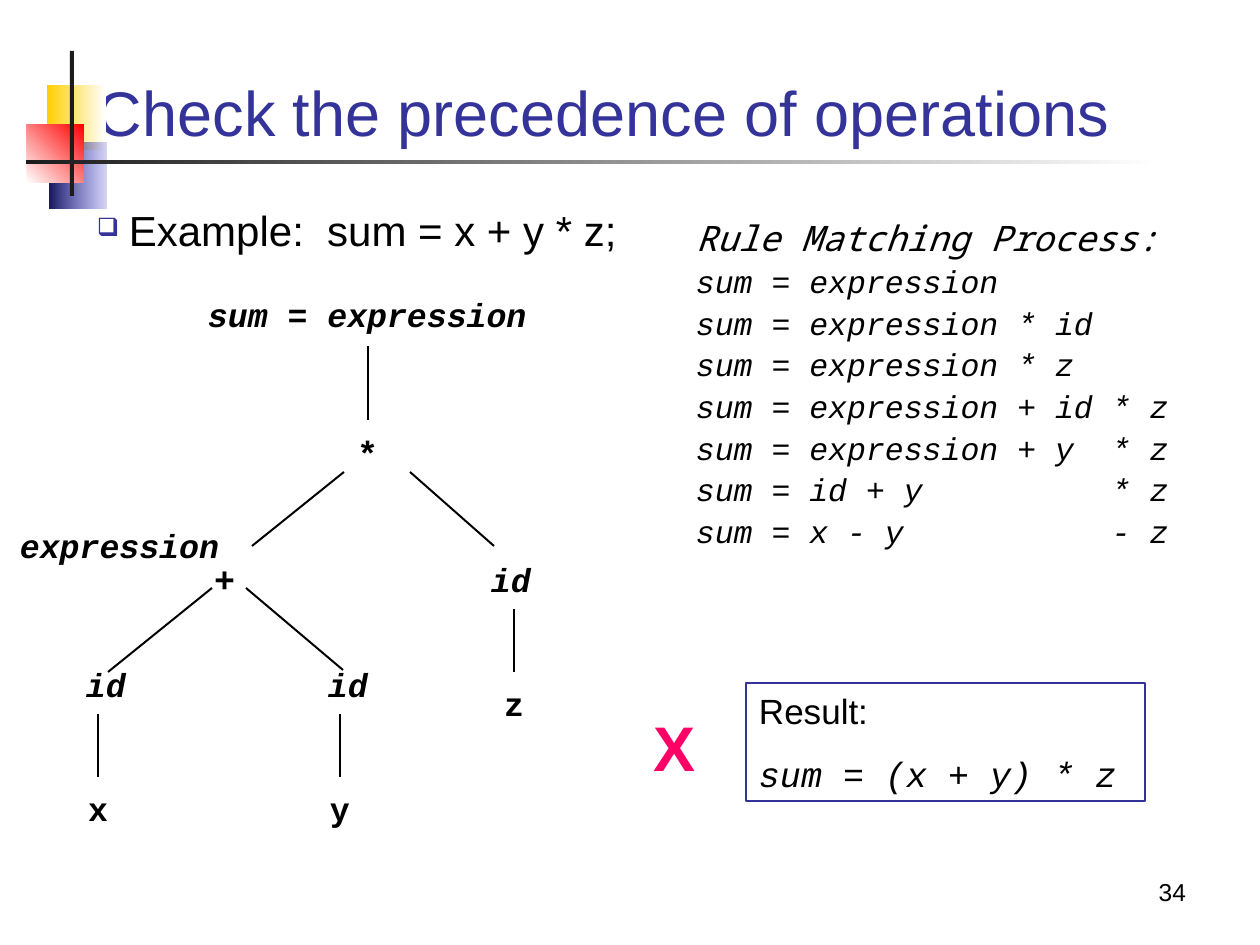
import pptx
import pptx.dml.color
import pptx.enum.shapes
import pptx.enum.text
import pptx.oxml.ns
import pptx.util
import lxml.etree

RGB = pptx.dml.color.RGBColor
ALIGN = pptx.enum.text.PP_ALIGN
ANCHOR = pptx.enum.text.MSO_ANCHOR
RECTANGLE = pptx.enum.shapes.MSO_SHAPE.RECTANGLE
STRAIGHT = pptx.enum.shapes.MSO_CONNECTOR.STRAIGHT

BLACK = RGB(0x00, 0x00, 0x00)
WHITE = RGB(0xFF, 0xFF, 0xFF)
INDIGO = RGB(0x33, 0x33, 0x99)
PINK = RGB(0xFF, 0x00, 0x66)
CHARCOAL = RGB(0x1C, 0x1C, 0x1C)
YELLOW = RGB(0xFF, 0xCF, 0x01)
NAVY = RGB(0x18, 0x18, 0x5E)
BLUE = RGB(0x33, 0x33, 0xCC)
RED = RGB(0xFF, 0x00, 0x00)

SANS = "Arial"
CODE = "Courier New"
MONO = "Noto Sans Mono"
PX_PER_INCH = 126
INSET = (13, 6)


def px(length):
    return pptx.util.Emu(round(length * 914400 / PX_PER_INCH))


def add_xml(parent, tag, **attributes):
    element = lxml.etree.SubElement(parent, pptx.oxml.ns.qn(tag))
    for name, value in attributes.items():
        element.set(name, str(value))
    return element


class SlideBuilder:
    def __init__(self, slide):
        self.slide = slide
        self.shapes = slide.shapes

    def run(self, paragraph, text, size, font=SANS, color=BLACK, bold=False, italic=False):
        run = paragraph.add_run()
        run.text = text
        run.font.size = pptx.util.Pt(size)
        run.font.name = font
        run.font.color.rgb = color
        run.font.bold = bold
        run.font.italic = italic

    def frame(self, shape, inset=INSET, wrap=True, anchor=ANCHOR.TOP):
        frame = shape.text_frame
        frame.word_wrap = wrap
        frame.vertical_anchor = anchor
        frame.margin_left = frame.margin_right = px(inset[0])
        frame.margin_top = frame.margin_bottom = px(inset[1])
        return frame

    def title(self, text, left, top, width, height):
        title = self.shapes.title
        title.left, title.top, title.width, title.height = map(px, (left, top, width, height))
        paragraph = self.frame(title, anchor=ANCHOR.BOTTOM).paragraphs[0]
        paragraph.alignment = ALIGN.LEFT
        self.run(paragraph, text, 36, color=INDIGO)

    def textbox(self, left, top, width, height, **layout):
        box = self.shapes.add_textbox(*map(px, (left, top, width, height)))
        return self.frame(box, **layout)

    def rectangle(self, left, top, width, height):
        shape = self.shapes.add_shape(RECTANGLE, *map(px, (left, top, width, height)))
        shape.shadow.inherit = False
        shape.line.fill.background()
        return shape

    def gradient(self, left, top, width, height, start, end, angle=0, end_alpha=None):
        fill = self.rectangle(left, top, width, height).fill
        fill.gradient()
        fill.gradient_angle = angle
        for stop, color in zip(fill.gradient_stops, (start, end)):
            stop.color.rgb = color
        if end_alpha is not None:
            colors = fill._xPr.findall(".//" + pptx.oxml.ns.qn("a:srgbClr"))
            add_xml(colors[-1], "a:alpha", val=end_alpha * 1000)

    def node(self, text, left, top, size=19, italic=False):
        """Tree label whose box is as wide as its monospaced text."""
        width = round(len(text) * size * 0.6 * PX_PER_INCH / 72)
        frame = self.textbox(left, top, width, 41, inset=(0, 0), wrap=False)
        self.run(frame.paragraphs[0], text, size, CODE, bold=True, italic=italic)

    def branch(self, x1, y1, x2, y2):
        line = self.shapes.add_connector(STRAIGHT, *map(px, (x1, y1, x2, y2)))
        line.line.color.rgb = BLACK
        line.line.width = pptx.util.Pt(1.13)
        add_xml(line._element.spPr, "a:effectLst")

    def identifier(self, leaf, left, top, shift=0):
        """An id node, its branch and the variable below it."""
        self.node("id", left, top, italic=True)
        self.branch(left + 12 + shift, top + 50, left + 12 + shift, top + 113)
        self.node(leaf, left + 2 + shift, top + 124)

    def bullet(self, text, left, top, width, height):
        paragraph = self.textbox(left, top, width, height).paragraphs[0]
        properties = paragraph._p.get_or_add_pPr()
        indent = px(32)
        properties.set("marL", str(indent))
        properties.set("indent", str(-indent))
        add_xml(add_xml(properties, "a:buClr"), "a:srgbClr", val=INDIGO)
        add_xml(properties, "a:buSzPct", val=60000)
        add_xml(properties, "a:buChar", char="❑")
        self.run(paragraph, text, 24)

    def derivation(self, heading, steps, left, top, width, height):
        """Heading and code lines; a tab stop lines up the last operator."""
        frame = self.textbox(left, top, width, height)
        self.run(frame.paragraphs[0], heading, 20, MONO, italic=True)
        for step in steps:
            paragraph = frame.add_paragraph()
            paragraph.space_before = pptx.util.Pt(2.2)
            tabs = add_xml(paragraph._p.get_or_add_pPr(), "a:tabLst")
            add_xml(tabs, "a:tab", pos=pptx.util.Inches(3.3), algn="l")
            self.run(paragraph, step, 18, CODE, italic=True)

    def result(self, label, formula, left, top, width, height):
        box = self.rectangle(left, top, width, height)
        box.fill.background()
        box.line.color.rgb = INDIGO
        box.line.width = pptx.util.Pt(1.5)
        frame = self.frame(box)
        first, second = frame.paragraphs[0], frame.add_paragraph()
        first.alignment = second.alignment = ALIGN.LEFT
        second.space_before = pptx.util.Pt(12.5)
        self.run(first, label, 20)
        self.run(second, formula, 20, CODE, italic=True)


def main():
    deck = pptx.Presentation()
    deck.slide_width, deck.slide_height = px(1260), px(945)
    builder = SlideBuilder(deck.slides.add_slide(deck.slide_layouts[5]))

    # Corner decoration
    builder.gradient(47, 85, 59, 65, YELLOW, WHITE)
    builder.gradient(49, 143, 57, 66, NAVY, BLUE, end_alpha=20)
    builder.gradient(27, 124, 57, 59, WHITE, RED, angle=45)
    bar = builder.rectangle(70, 51, 4, 145)
    bar.fill.solid()
    bar.fill.fore_color.rgb = CHARCOAL
    builder.gradient(26, 160, 1134, 4, CHARCOAL, WHITE)

    # Title, example and slide number
    builder.title("Check the precedence of operations", 84, 54, 1091, 101)
    builder.bullet("Example:  sum = x + y * z;", 84, 199, 580, 78)
    number = builder.textbox(937, 849, 262, 63, anchor=ANCHOR.BOTTOM).paragraphs[0]
    number.alignment = ALIGN.RIGHT
    builder.run(number, "34", 14)

    # Parse tree
    builder.node("sum = expression", 208, 294, italic=True)
    builder.node("*", 357, 431, size=20)
    builder.node("expression", 20, 525, italic=True)
    builder.node("+", 214, 557, size=20)
    for branch in ((368, 346, 368, 420), (344, 472, 252, 546), (410, 472, 494, 546),
                   (212, 588, 108, 672), (246, 588, 343, 670)):
        builder.branch(*branch)
    builder.identifier("x", 86, 664)
    builder.identifier("y", 328, 664)
    builder.identifier("z", 491, 559, shift=11)

    # Rule matching
    builder.derivation("Rule Matching Process:", (
        "sum = expression",
        "sum = expression * id",
        "sum = expression * z",
        "sum = expression + id * z",
        "sum = expression + y\t* z",
        "sum = id + y\t* z",
        "sum = x - y\t- z",
    ), 683, 210, 514, 346)

    # Wrong result
    builder.result("Result:", "sum = (x + y) * z", 746, 683, 399, 118)
    verdict = builder.textbox(640, 703, 84, 88).paragraphs[0]
    builder.run(verdict, "X", 36, color=PINK, bold=True)

    deck.save("out.pptx")


if __name__ == "__main__":
    main()
